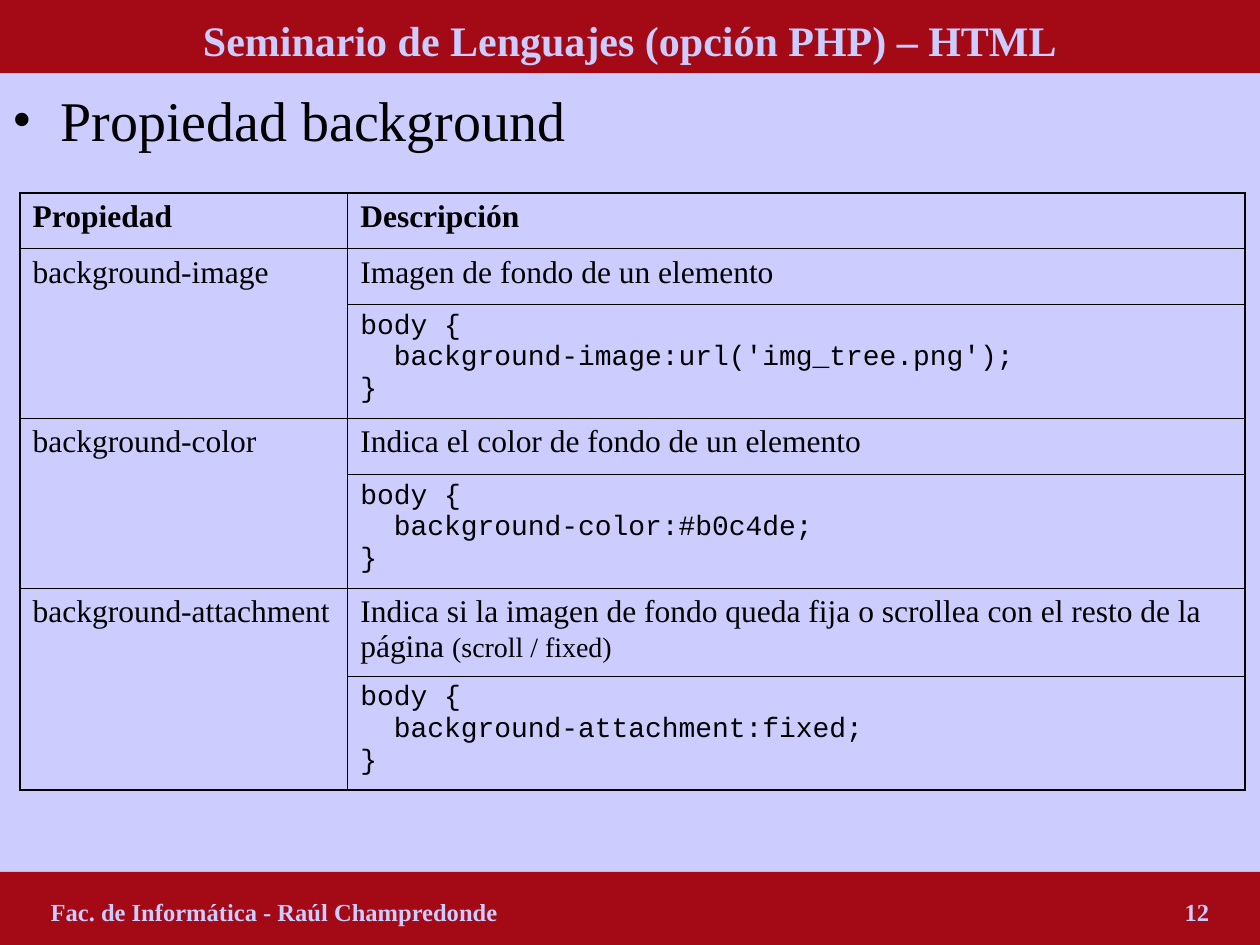
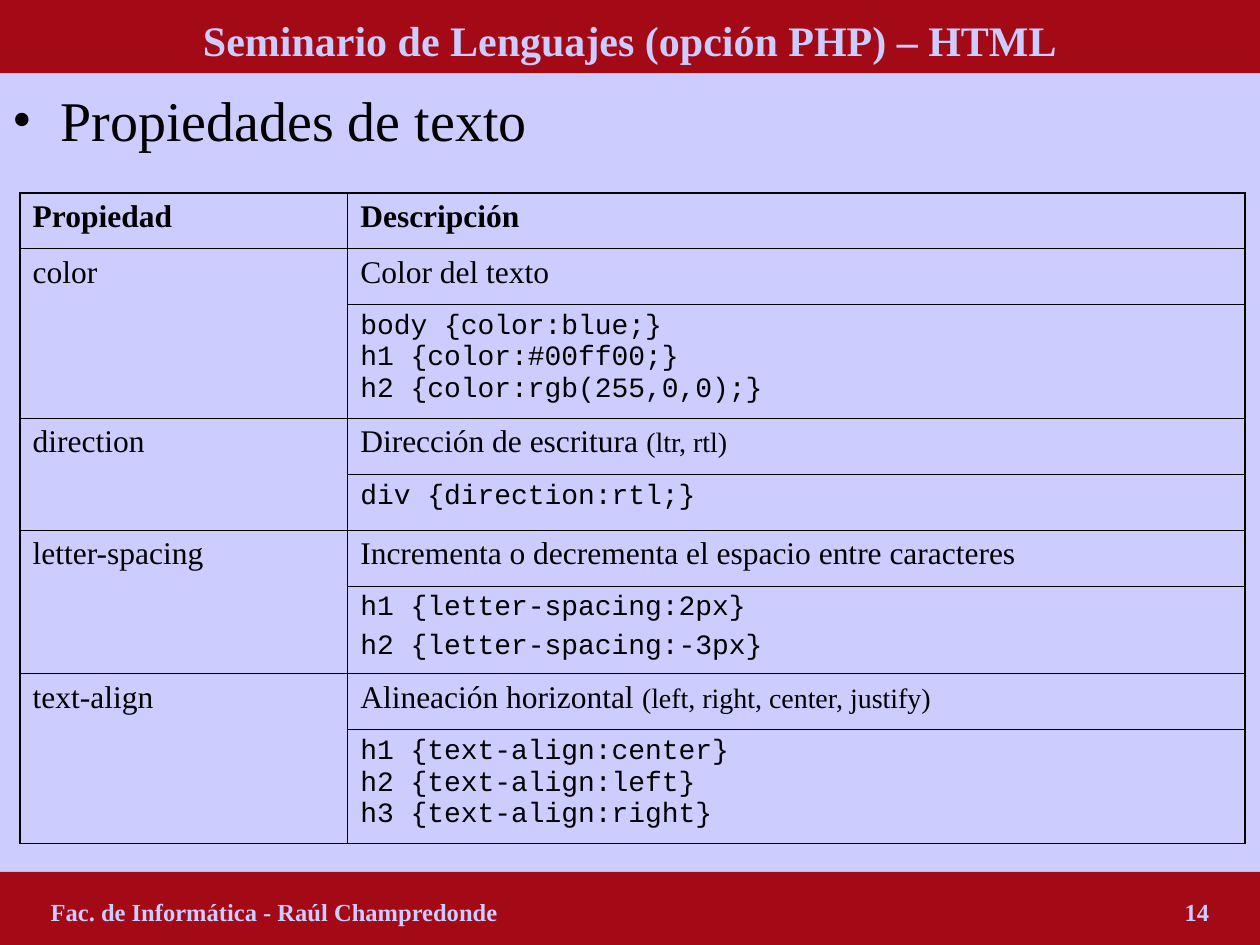
"""Builds two course slides that list CSS properties in tables."""
from copy import deepcopy
from dataclasses import dataclass

from lxml import etree
from pptx import Presentation
from pptx.dml.color import RGBColor
from pptx.enum.shapes import MSO_SHAPE
from pptx.enum.text import MSO_ANCHOR, PP_ALIGN
from pptx.oxml.ns import qn
from pptx.util import Inches, Pt

RECTANGLE = MSO_SHAPE.RECTANGLE
MIDDLE, TOP = MSO_ANCHOR.MIDDLE, MSO_ANCHOR.TOP
CENTER = PP_ALIGN.CENTER

WIDTH, HEIGHT = Inches(10), Inches(7.5)
BAND_HEIGHT = Inches(0.58)
TABLE_LEFT, TABLE_TOP = Inches(0.16), Inches(1.53)
COLUMN_WIDTHS = (Inches(2.6), Inches(7.12))
ROW_HEIGHTS = {1: Pt(32), 2: Pt(50), 3: Pt(65)}
BULLET_INDENT = Inches(0.38)
NUMBER_TAB = Inches(9)
INNER_LINE, OUTER_LINE = Pt(0.45), Pt(1.08)

LAVENDER, CRIMSON, BLACK = "CCCCFF", "A30A16", "000000"
SERIF, MONO = "Times New Roman", "Courier New"

COURSE = "Seminario de Lenguajes (opción PHP) – HTML"
AUTHOR = "Fac. de Informática - Raúl Champredonde"
HEADINGS = ("Propiedad", "Descripción")


@dataclass(frozen=True)
class TextStyle:
    """Describes how the runs of a text look."""
    size: int
    font: str = SERIF
    color: str = BLACK
    bold: bool = False


@dataclass(frozen=True)
class Property:
    """Holds one CSS property with its description and sample code."""
    name: str
    description: str
    code: str
    note: str = ""
    description_lines: int = 1

    @property
    def code_lines(self) -> int:
        """Counts the lines of the sample code."""
        return 1 + self.code.count("\v") + self.code.count("\n")


@dataclass(frozen=True)
class Lesson:
    """Holds the content of one slide."""
    topic: str
    number: int
    properties: tuple[Property, ...]


COURSE_STYLE = TextStyle(24, color=LAVENDER, bold=True)
FOOTER_STYLE = TextStyle(14, color=LAVENDER, bold=True)
TOPIC_STYLE = TextStyle(32)
HEADING_STYLE = TextStyle(18, bold=True)
ENTRY_STYLE = TextStyle(18)
NOTE_STYLE = TextStyle(16)
CODE_STYLE = TextStyle(16, MONO)

LESSONS = (
    Lesson("Propiedad background", 12, (
        Property("background-image", "Imagen de fondo de un elemento",
                 "body {\v  background-image:url('img_tree.png');\v}"),
        Property("background-color", "Indica el color de fondo de un elemento",
                 "body {\v  background-color:#b0c4de;\v}"),
        Property("background-attachment",
                 "Indica si la imagen de fondo queda fija o scrollea con el resto de la página ",
                 "body {\v  background-attachment:fixed;\v}",
                 "(scroll / fixed)", description_lines=2),
    )),
    Lesson("Propiedades de texto", 14, (
        Property("color", "Color del texto",
                 "body {color:blue;}\vh1 {color:#00ff00;}\vh2 {color:rgb(255,0,0);}"),
        Property("direction", "Dirección de escritura ",
                 "div {direction:rtl;}", "(ltr, rtl)"),
        Property("letter-spacing", "Incrementa o decrementa el espacio entre caracteres",
                 "h1 {letter-spacing:2px}\nh2 {letter-spacing:-3px}"),
        Property("text-align", "Alineación horizontal ",
                 "h1 {text-align:center}\vh2 {text-align:left}\vh3 {text-align:right}",
                 "(left, right, center, justify)"),
    )),
)


def rgb(value: str) -> RGBColor:
    """Turns a hex string into a colour."""
    return RGBColor.from_string(value)


def style_run(run, style: TextStyle) -> None:
    """Applies a text style to one run."""
    run.font.size = Pt(style.size)
    run.font.name = style.font
    run.font.bold = style.bold
    run.font.color.rgb = rgb(style.color)


def write(frame, text: str, style: TextStyle) -> None:
    """Fills a text frame and styles its runs and line breaks."""
    frame.text = text
    for index, paragraph in enumerate(frame.paragraphs):
        if index:
            paragraph.space_before = Pt(4)
        for run in paragraph.runs:
            style_run(run, style)
        look = paragraph.runs[0].font._element
        for line_break in paragraph._p.findall(qn("a:br")):
            line_break.insert(0, deepcopy(look))


def add_band(slide, top: int, text: str, style: TextStyle):
    """Draws a full-width band and returns its paragraph."""
    band = slide.shapes.add_shape(RECTANGLE, 0, top, WIDTH, BAND_HEIGHT)
    band.shadow.inherit = False
    band.fill.solid()
    band.fill.fore_color.rgb = rgb(CRIMSON)
    band.line.fill.background()
    frame = band.text_frame
    frame.word_wrap = True
    frame.vertical_anchor = MIDDLE
    frame.margin_top = Inches(0.1)
    write(frame, text, style)
    frame.paragraphs[0].alignment = CENTER
    return frame.paragraphs[0]


def add_footer(slide, number: int) -> None:
    """Draws the bottom band with author and slide number."""
    line = add_band(slide, HEIGHT - BAND_HEIGHT, f"{AUTHOR}\t{number}", FOOTER_STYLE)
    tabs = etree.SubElement(line._p.get_or_add_pPr(), qn("a:tabLst"))
    etree.SubElement(tabs, qn("a:tab"), pos=str(NUMBER_TAB), algn="l")


def add_topic(slide, topic: str) -> None:
    """Writes the bulleted topic below the top band."""
    body = slide.shapes.add_textbox(0, BAND_HEIGHT, WIDTH, HEIGHT - 2 * BAND_HEIGHT)
    frame = body.text_frame
    frame.word_wrap = True
    frame.margin_top = Inches(0.1)
    write(frame, topic, TOPIC_STYLE)
    layout = frame.paragraphs[0]._p.get_or_add_pPr()
    layout.set("marL", str(BULLET_INDENT))
    layout.set("indent", str(-BULLET_INDENT))
    tint = etree.SubElement(layout, qn("a:buClr"))
    etree.SubElement(tint, qn("a:srgbClr"), val=BLACK)
    etree.SubElement(layout, qn("a:buFont"), typeface=SERIF)
    etree.SubElement(layout, qn("a:buChar"), char="•")


def frame_cell(cell, outer_edges: dict[str, bool]) -> None:
    """Draws the four borders of a cell and leaves it unfilled."""
    cell.vertical_anchor = TOP
    layout = cell._tc.get_or_add_tcPr()
    for edge, is_outer in outer_edges.items():
        line = etree.SubElement(layout, qn(f"a:ln{edge}"),
                                w=str(OUTER_LINE if is_outer else INNER_LINE))
        ink = etree.SubElement(line, qn("a:solidFill"))
        etree.SubElement(ink, qn("a:srgbClr"), val=BLACK)
    cell.fill.background()


def add_property_table(slide, properties: tuple[Property, ...]) -> None:
    """Draws a heading row and two rows for each property."""
    lines = [1]
    for entry in properties:
        lines += [entry.description_lines, entry.code_lines]
    heights = [ROW_HEIGHTS[count] for count in lines]
    table = slide.shapes.add_table(len(heights), len(COLUMN_WIDTHS), TABLE_LEFT, TABLE_TOP,
                                   sum(COLUMN_WIDTHS), sum(heights)).table
    table.first_row = table.horz_banding = False
    for column, width in zip(table.columns, COLUMN_WIDTHS):
        column.width = width
    for row, height in zip(table.rows, heights):
        row.height = height

    for column, heading in enumerate(HEADINGS):
        write(table.cell(0, column).text_frame, heading, HEADING_STYLE)
    for index, entry in enumerate(properties):
        row = 1 + 2 * index
        name, description = table.cell(row, 0), table.cell(row, 1)
        name.merge(table.cell(row + 1, 0))
        write(name.text_frame, entry.name, ENTRY_STYLE)
        write(description.text_frame, entry.description, ENTRY_STYLE)
        if entry.note:
            note = description.text_frame.paragraphs[0].add_run()
            note.text = entry.note
            style_run(note, NOTE_STYLE)
        write(table.cell(row + 1, 1).text_frame, entry.code, CODE_STYLE)

    for row in range(len(heights)):
        for column in range(len(COLUMN_WIDTHS)):
            cell = table.cell(row, column)
            span = cell.span_height if cell.is_merge_origin else 1
            frame_cell(cell, {"L": column == 0, "R": column == len(COLUMN_WIDTHS) - 1,
                              "T": row == 0, "B": row + span == len(heights)})


def add_lesson(deck, lesson: Lesson) -> None:
    """Builds one slide."""
    slide = deck.slides.add_slide(deck.slide_layouts[6])
    slide.background.fill.solid()
    slide.background.fill.fore_color.rgb = rgb(LAVENDER)
    add_topic(slide, lesson.topic)
    add_band(slide, 0, COURSE, COURSE_STYLE)
    add_footer(slide, lesson.number)
    add_property_table(slide, lesson.properties)


def main() -> None:
    """Builds and saves the presentation."""
    deck = Presentation()
    deck.slide_width, deck.slide_height = WIDTH, HEIGHT
    for lesson in LESSONS:
        add_lesson(deck, lesson)
    deck.save("out.pptx")


if __name__ == "__main__":
    main()
